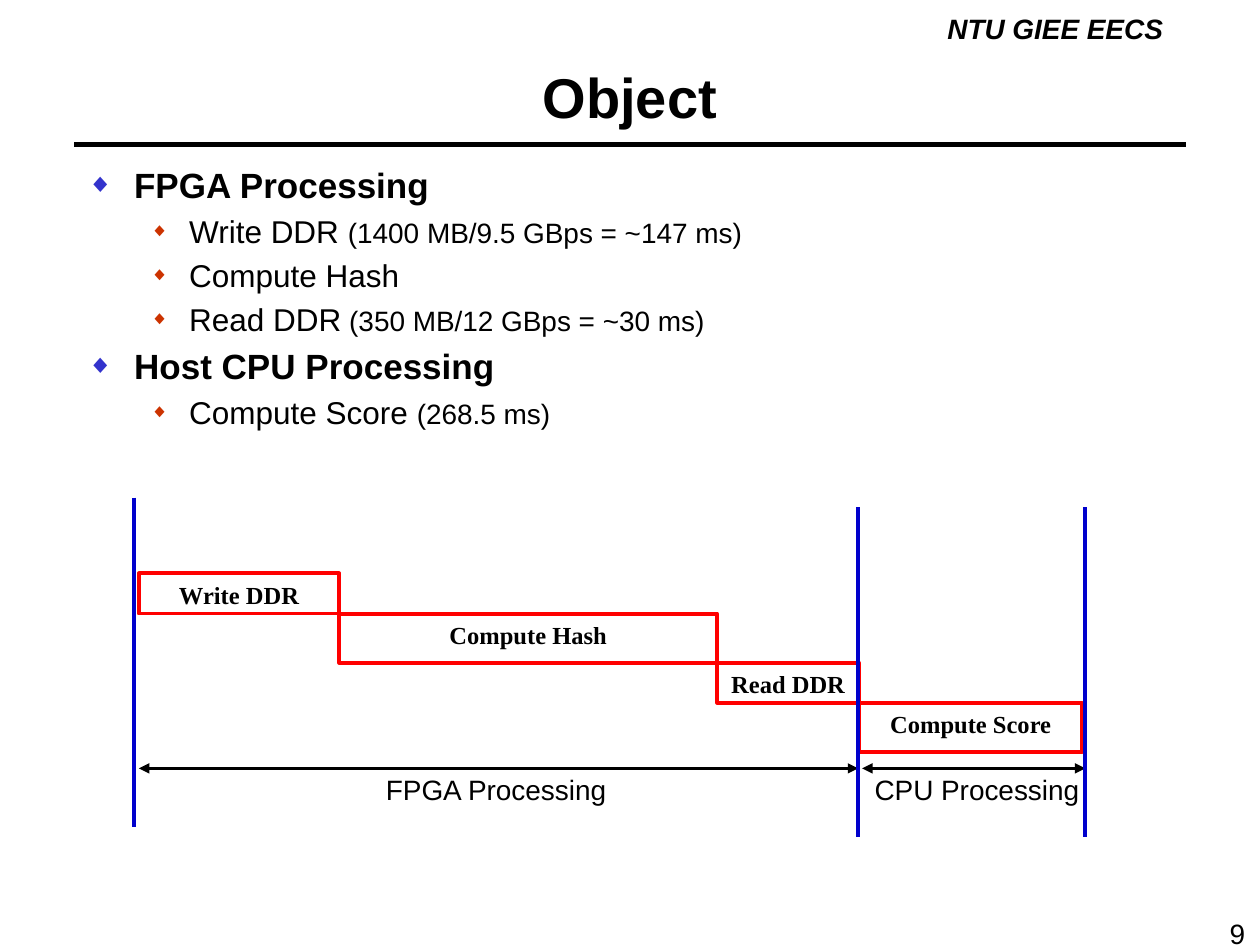
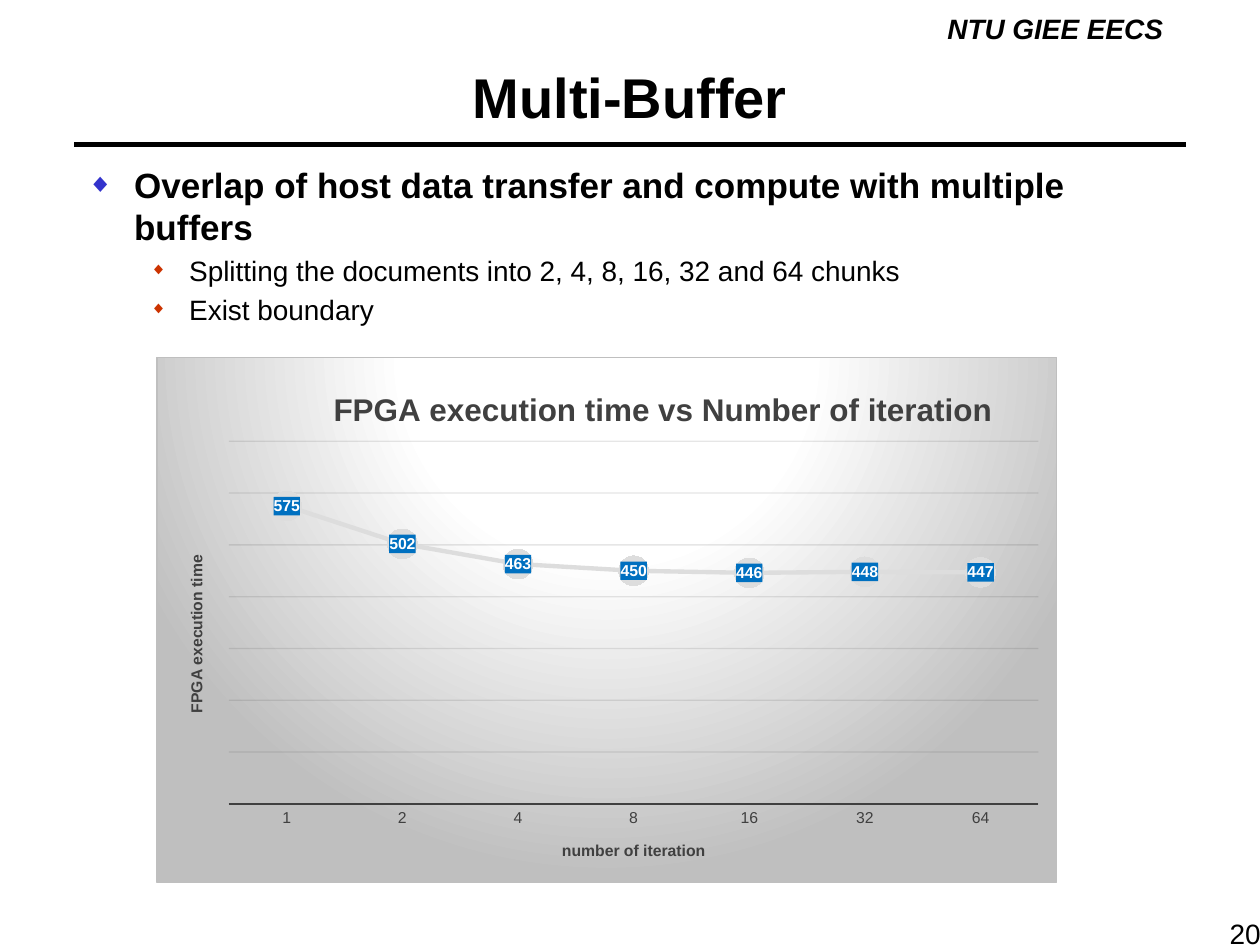
from pptx import Presentation
from pptx.chart.data import CategoryChartData
from pptx.dml.color import RGBColor
from pptx.enum.chart import XL_CHART_TYPE, XL_LABEL_POSITION, XL_MARKER_STYLE, XL_TICK_MARK
from pptx.enum.shapes import MSO_CONNECTOR, MSO_SHAPE
from pptx.enum.text import MSO_ANCHOR, MSO_AUTO_SIZE, PP_ALIGN
from pptx.oxml import parse_xml
from pptx.oxml.ns import nsdecls, qn
from pptx.oxml.xmlchemy import OxmlElement
from pptx.util import Cm, Pt

LEFT, CENTER = PP_ALIGN.LEFT, PP_ALIGN.CENTER
TOP, MIDDLE = MSO_ANCHOR.TOP, MSO_ANCHOR.MIDDLE
NO_AUTOFIT = MSO_AUTO_SIZE.NONE
RECTANGLE = MSO_SHAPE.RECTANGLE
STRAIGHT = MSO_CONNECTOR.STRAIGHT
LINE_MARKERS = XL_CHART_TYPE.LINE_MARKERS
CIRCLE = XL_MARKER_STYLE.CIRCLE
LABEL_CENTER = XL_LABEL_POSITION.CENTER
NO_TICK = XL_TICK_MARK.NONE

BLACK = RGBColor(0x00, 0x00, 0x00)
WHITE = RGBColor(0xFF, 0xFF, 0xFF)
RED = RGBColor(0xFF, 0x00, 0x00)
BOUNDARY_BLUE = RGBColor(0x00, 0x00, 0xCC)
BULLET_BLUE = RGBColor(0x33, 0x33, 0xCC)
BULLET_RED = RGBColor(0xCC, 0x33, 0x00)
LABEL_BLUE = RGBColor(0x00, 0x70, 0xC0)
DARK_GRAY = RGBColor(0x40, 0x40, 0x40)
SERIES_GRAY = RGBColor(0xDD, 0xDD, 0xDD)
EDGE_GRAY = RGBColor(0xBF, 0xBF, 0xBF)
GRID = RGBColor(0x0D, 0x0D, 0x0D)

SANS, SERIF = "Arial", "Times New Roman"
HEADER = "NTU GIEE EECS"
MARGIN, CONTENT_W = 1.5, 22.4
BULLETS = [
    dict(left=0.95, hang=0.95, color=BULLET_BLUE, size=75),
    dict(left=2.06, hang=0.79, color=BULLET_RED, size=60),
]


def style_font(font, size, color=BLACK, bold=False, italic=False, name=SANS):
    """Set the typeface, size, colour and weight of a font."""
    font.name, font.size = name, Pt(size)
    font.bold, font.italic = bold, italic
    font.color.rgb = color


def write(p, text, align=None, **fmt):
    """Append one formatted run to a paragraph."""
    if align is not None:
        p.alignment = align
    r = p.add_run()
    r.text = text
    style_font(r.font, **fmt)


def add_label(s, text, x, y, w, h, **fmt):
    """Place a wrapping text box, with its place in centimetres."""
    tf = s.shapes.add_textbox(Cm(x), Cm(y), Cm(w), Cm(h)).text_frame
    tf.word_wrap = True
    write(tf.paragraphs[0], text, **fmt)


def add_line(s, x1, y1, x2, y2, color=BLACK, width=1.5, arrows=False):
    """Draw a straight line, with arrowheads at both ends on request."""
    line = s.shapes.add_connector(STRAIGHT, Cm(x1), Cm(y1), Cm(x2), Cm(y2))
    line.line.color.rgb, line.line.width = color, Pt(width)
    if arrows:
        for end in ("a:headEnd", "a:tailEnd"):
            line.line._get_or_add_ln().append(OxmlElement(end))
            line.line._get_or_add_ln()[-1].set("type", "triangle")
    line._element.spPr.append(OxmlElement("a:effectLst"))


def place(sp, x, y, w, h):
    """Move a placeholder and give it a size in centimetres."""
    sp.left, sp.top, sp.width, sp.height = Cm(x), Cm(y), Cm(w), Cm(h)
    sp.text_frame.auto_size = NO_AUTOFIT


def set_bullet(p, left, hang, color, size):
    """Give a paragraph a coloured diamond bullet and a hanging indent."""
    pPr = p._p.get_or_add_pPr()
    pPr.set("marL", str(Cm(left)))
    pPr.set("indent", str(-Cm(hang)))
    for xml in (
        f'<a:spcBef {nsdecls("a")}><a:spcPct val="20000"/></a:spcBef>',
        f'<a:buClr {nsdecls("a")}><a:srgbClr val="{color}"/></a:buClr>',
        f'<a:buSzPct {nsdecls("a")} val="{size * 1000}"/>',
        f'<a:buFont {nsdecls("a")} typeface="{SANS}"/>',
        f'<a:buChar {nsdecls("a")} char="◆"/>',
    ):
        pPr.append(parse_xml(xml))


def add_base_slide(prs, title, number, items):
    """Add a slide with header, number, rule, title and bullet list."""
    s = prs.slides.add_slide(prs.slide_layouts[1])
    add_label(s, HEADER, 18.85, 0.1, 5.3, 0.94, size=16, bold=True, italic=True)
    add_label(s, str(number), 24.54, 18.36, 1.24, 0.86, size=16)
    add_line(s, MARGIN, 2.92, MARGIN + CONTENT_W, 2.92, width=3)

    place(s.shapes.title, MARGIN, 1.02, CONTENT_W, 1.83)
    tf = s.shapes.title.text_frame
    tf.vertical_anchor = MIDDLE
    write(tf.paragraphs[0], title, align=CENTER, size=32, bold=True)

    body = s.placeholders[1]
    place(body, MARGIN, 3.17, CONTENT_W, 13.41)
    tf = body.text_frame
    tf.vertical_anchor = TOP
    for i, (level, *runs) in enumerate(items):
        p = tf.add_paragraph() if i else tf.paragraphs[0]
        p.level = level
        set_bullet(p, **BULLETS[level])
        for text, size in runs:
            write(p, text, size=size, bold=level == 0)
    return s


def add_timeline(s, x, y):
    """Draw the staircase of stages, its boundaries and its two spans."""
    stage_x, stage_y = x + 0.1, y + 1.53
    for text, w, h in (
        ("Write DDR", 4.04, 0.81),
        ("Compute Hash", 7.62, 0.99),
        ("Read DDR", 2.86, 0.81),
        ("Compute Score", 4.5, 0.99),
    ):
        sp = s.shapes.add_shape(RECTANGLE, Cm(stage_x), Cm(stage_y), Cm(w), Cm(h))
        sp.shadow.inherit = False
        sp.fill.background()
        sp.line.color.rgb, sp.line.width = RED, Pt(2.25)
        tf = sp.text_frame
        tf.vertical_anchor = TOP
        write(tf.paragraphs[0], text, align=CENTER, size=14, bold=True, name=SERIF)
        stage_x, stage_y = stage_x + w, stage_y + h

    for text, start, end, text_x in (
        ("FPGA Processing", 0.1, 14.6, 4.83),
        ("CPU Processing", 14.68, 19.18, 14.68),
    ):
        add_line(s, x + start, y + 5.46, x + end, y + 5.46, arrows=True)
        add_label(s, text, x + text_x, y + 5.41, 6.22, 0.94, size=16)

    for dx, dy in ((0, 0), (14.6, 0.2), (19.18, 0.2)):
        add_line(s, x + dx, y + dy, x + dx, y + dy + 6.65, BOUNDARY_BLUE, 2.25)


def add_fill(parent, content):
    """Insert shape properties ahead of the text properties of a chart part."""
    sp_pr = parse_xml(f'<c:spPr {nsdecls("c", "a")}>{content}</c:spPr>')
    parent.find(qn("c:txPr")).addprevious(sp_pr)


def set_layout(parent, inner=False, **fractions):
    """Fix the place of a chart part, in fractions of the chart."""
    layout = parent.find(qn("c:layout"))
    if layout is None:
        layout = OxmlElement("c:layout")
        parent.insert(0, layout)
    target = '<c:layoutTarget val="inner"/>' if inner else ""
    modes = "".join(f'<c:{k}Mode val="edge"/>' for k in "xy")
    sizes = "".join(f'<c:{k} val="{v}"/>' for k, v in fractions.items())
    layout.append(parse_xml(
        f'<c:manualLayout {nsdecls("c")}>{target}{modes}{sizes}</c:manualLayout>'))


def add_time_chart(s, x, y, w, h):
    """Add the line chart of execution time over iterations."""
    data = CategoryChartData()
    data.categories = ["1", "2", "4", "8", "16", "32", "64"]
    data.add_series("Series 1", (575, 502, 463, 450, 446, 448, 447))
    chart = s.shapes.add_chart(LINE_MARKERS, Cm(x), Cm(y), Cm(w), Cm(h), data).chart
    chart.has_legend = False
    style_font(chart.font, 10)
    root = chart.element

    cat, val = chart.category_axis, chart.value_axis
    for part, text, size in (
        (chart.chart_title, "FPGA execution time vs Number of iteration", 18),
        (cat.axis_title, "number of iteration", 9),
        (val.axis_title, "FPGA execution time", 9),
    ):
        write(part.text_frame.paragraphs[0], text, size=size, color=DARK_GRAY, bold=True)
    root.xpath(".//c:valAx/c:title//a:bodyPr")[0].set("rot", "-5400000")

    cat.major_tick_mark = NO_TICK
    cat.format.line.color.rgb, cat.format.line.width = DARK_GRAY, Pt(1.5)
    style_font(cat.tick_labels.font, 9, DARK_GRAY)
    val.minimum_scale, val.maximum_scale, val.major_unit = 0, 700, 100
    val.visible = False
    grid = val.major_gridlines.format.line
    grid.color.rgb, grid.width = GRID, Pt(0.75)
    alpha = OxmlElement("a:alpha")
    alpha.set("val", "10000")
    root.xpath(".//c:majorGridlines//a:srgbClr")[0].append(alpha)

    plot = chart.plots[0]
    plot.vary_by_categories = False
    series = plot.series[0]
    series.smooth = False
    series.format.line.color.rgb, series.format.line.width = SERIES_GRAY, Pt(2.5)
    marker = series.marker
    marker.style, marker.size = CIRCLE, 17
    marker.format.fill.solid()
    marker.format.fill.fore_color.rgb = SERIES_GRAY
    marker.format.line.fill.background()
    labels = series.data_labels
    labels.show_value, labels.position = True, LABEL_CENTER
    style_font(labels.font, 9, WHITE, bold=True)

    solid = '<a:solidFill><a:srgbClr val="{}"/></a:solidFill>'
    add_fill(root.xpath(".//c:ser/c:dLbls")[0], solid.format(LABEL_BLUE))
    stops = "".join(
        f'<a:gs pos="{pos * 1000}"><a:srgbClr val="{color}"/></a:gs>'
        for pos, color in ((0, WHITE), (39, WHITE), (100, EDGE_GRAY)))
    add_fill(root, (
        f'<a:gradFill><a:gsLst>{stops}</a:gsLst><a:path path="circle">'
        '<a:fillToRect l="50000" t="-80000" r="50000" b="180000"/></a:path></a:gradFill>'
        f'<a:ln w="{Pt(0.75)}">{solid.format(EDGE_GRAY)}</a:ln>'))
    set_layout(root.xpath("c:chart/c:title")[0], x=0.19, y=0.05)
    set_layout(root.xpath("c:chart/c:plotArea")[0], inner=True,
               x=0.08, y=0.16, w=0.9, h=0.69)


def main():
    """Build both slides and save the presentation."""
    prs = Presentation()
    prs.slide_width, prs.slide_height = Cm(25.4), Cm(19.05)

    s = add_base_slide(prs, "Object", 9, [
        (0, ("FPGA Processing", 20)),
        (1, ("Write DDR ", 18), ("(1400 MB/9.5 GBps = ~147 ms)", 16)),
        (1, ("Compute Hash", 18)),
        (1, ("Read DDR", 18), (" (350 MB/12 GBps = ~30 ms)", 16)),
        (0, ("Host CPU Processing", 20)),
        (1, ("Compute Score ", 18), ("(268.5 ms)", 16)),
    ])
    add_timeline(s, 2.7, 10.03)

    s = add_base_slide(prs, "Multi-Buffer", 20, [
        (0, ("Overlap of host data transfer and compute with multiple buffers", 20)),
        (1, ("Splitting the documents into 2, 4, 8, 16, 32 and 64 chunks", 16)),
        (1, ("Exist boundary", 16)),
    ])
    add_time_chart(s, 3.15, 7.19, 18.16, 10.62)

    prs.save("out.pptx")


if __name__ == "__main__":
    main()
